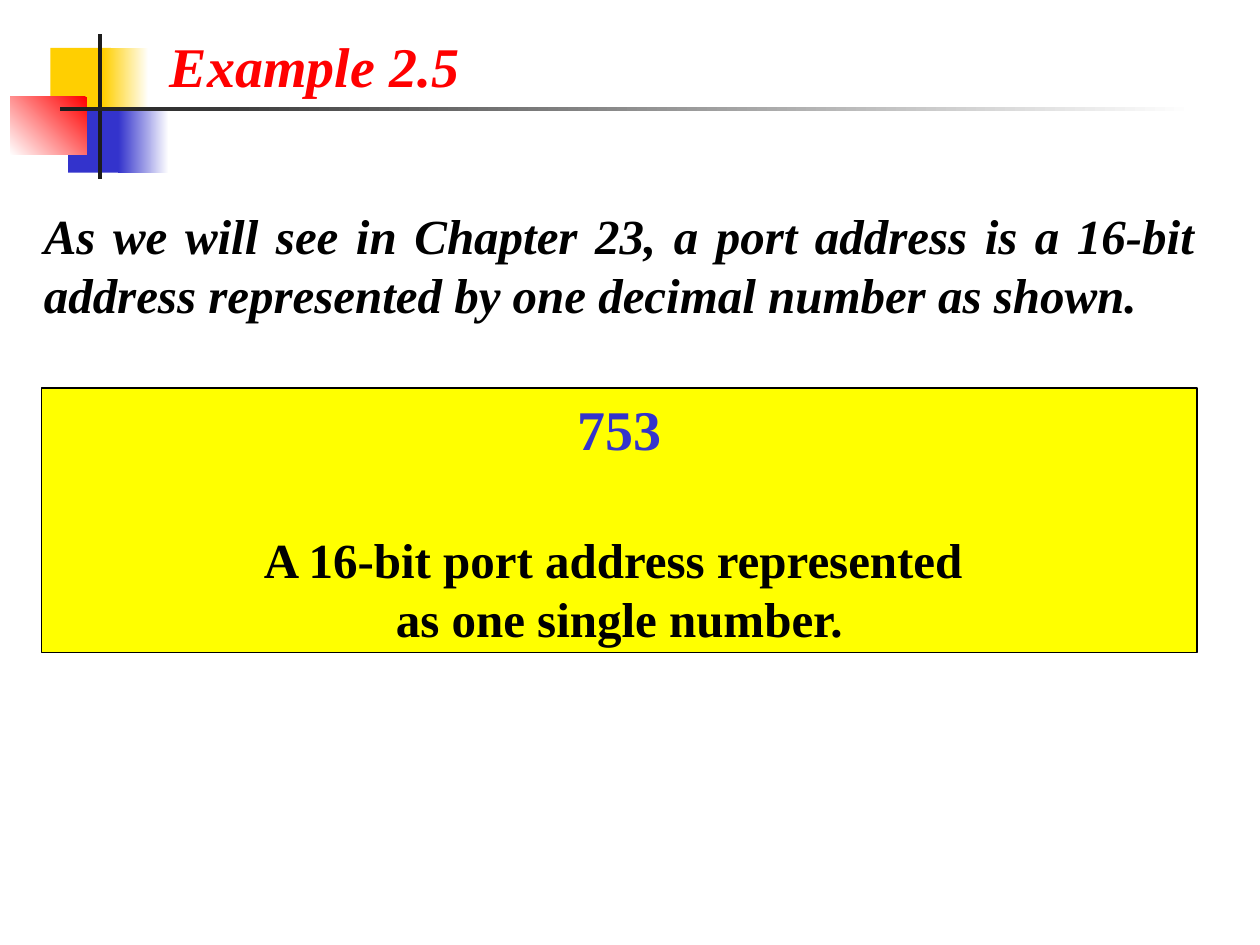
from pptx import Presentation
from pptx.dml.color import RGBColor
from pptx.enum.shapes import MSO_SHAPE
from pptx.enum.text import MSO_ANCHOR, PP_ALIGN
from pptx.util import Inches, Pt

RECT = MSO_SHAPE.RECTANGLE
LEFT, CENTER, JUSTIFY = PP_ALIGN.LEFT, PP_ALIGN.CENTER, PP_ALIGN.JUSTIFY
FONT = "Times New Roman"
COLORS = {"white": "FFFFFF", "gold": "FFCF01", "blue": "3333CC", "red": "FF0000",
          "ink": "1C1C1C", "yellow": "FFFF00", "black": "000000"}

# Corner ornament: box, fill colours (two make a gradient), gradient angle
ORNAMENT = [
    ((0.4, 0.38, 0.48, 0.52), ["gold"], 0),
    ((0.82, 0.38, 0.36, 0.52), ["white", "gold"], 180),
    ((0.54, 0.85, 0.46, 0.52), ["blue"], 0),
    ((0.94, 0.85, 0.4, 0.52), ["white", "blue"], 180),
    ((0.08, 0.77, 0.61, 0.46), ["red", "white"], 225),
    ((0.78, 0.27, 0.03, 1.15), ["ink"], 0),
    ((0.48, 0.85, 9, 0.03), ["white", "ink"], 180),
]

# Paragraphs: text, size, colour, italic, alignment, space after in points
TITLE = [("Example 2.5", 32, "red", True, LEFT, 0)]
BODY = [("As we will see in Chapter 23, a port address is a 16-bit address "
         "represented by one decimal number as shown.", 28, "black", True, JUSTIFY, 0)]
ANSWER = [("753", 32, "blue", False, CENTER, 39),
          ("A 16-bit port address represented \vas one single number.",
           28, "black", False, CENTER, 0)]


def rgb(name):
    return RGBColor.from_string(COLORS[name])


def add_rect(box, fills, angle=0):
    sp = s.shapes.add_shape(RECT, *map(Inches, box))
    sp.shadow.inherit = False
    sp.line.fill.background()
    if len(fills) == 1:
        sp.fill.solid()
        sp.fill.fore_color.rgb = rgb(fills[0])
    else:
        sp.fill.gradient()
        sp.fill.gradient_angle = angle
        for stop, name, position in zip(sp.fill.gradient_stops, fills, (0, 1)):
            stop.color.rgb = rgb(name)
            stop.position = position
    return sp


def write(sp, paragraphs, wrap=True):
    tf = sp.text_frame
    tf.word_wrap = wrap
    tf.vertical_anchor = MSO_ANCHOR.TOP
    for i, (text, size, color, italic, align, after) in enumerate(paragraphs):
        p = tf.add_paragraph() if i else tf.paragraphs[0]
        p.text = text
        p.alignment = align
        p.space_after = Pt(after)
        for r in p.runs:
            r.font.name, r.font.size = FONT, Pt(size)
            r.font.bold, r.font.italic = True, italic
            r.font.color.rgb = rgb(color)


prs = Presentation()
prs.slide_width, prs.slide_height = Inches(10), Inches(7.5)
s = prs.slides.add_slide(prs.slide_layouts[6])

for box, fills, angle in ORNAMENT:
    add_rect(box, fills, angle)

# Title and statement
for box, paragraphs, wrap in [((1.25, 0.2, 2.5, 0.64), TITLE, False),
                              ((0.25, 1.58, 9.33, 1.04), BODY, True)]:
    write(s.shapes.add_textbox(*map(Inches, box)), paragraphs, wrap)

# Answer panel
panel = add_rect((0.33, 3.08, 9.17, 2.1), ["yellow"])
panel.line.color.rgb = rgb("black")
panel.line.width = Pt(0.74)
write(panel, ANSWER)

prs.save("out.pptx")
